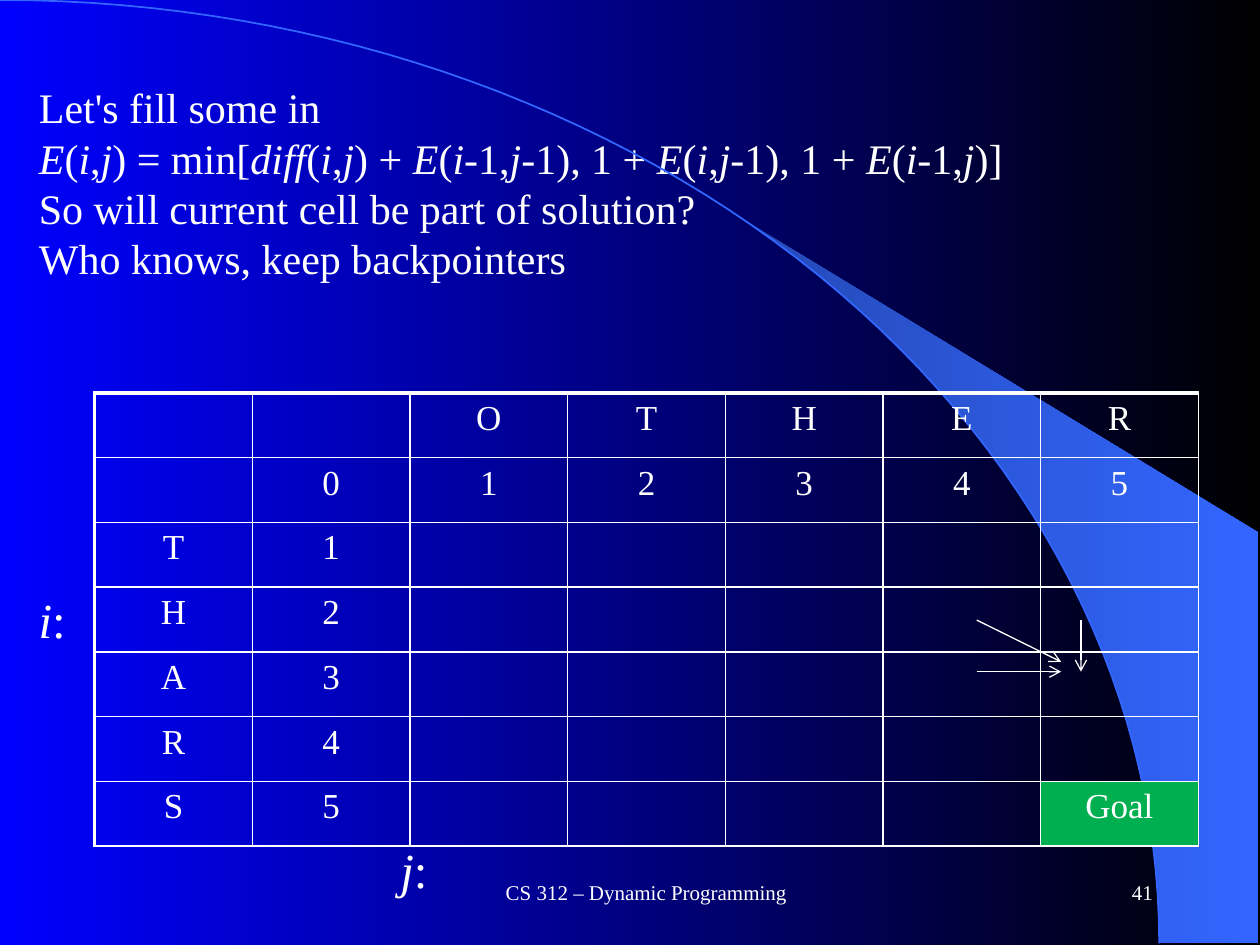
from math import asin, cos, pi, sin

from lxml.etree import SubElement
from pptx import Presentation
from pptx.dml.color import RGBColor
from pptx.enum.shapes import MSO_CONNECTOR as Link
from pptx.enum.text import MSO_ANCHOR as Anchor, MSO_AUTO_SIZE as Fit, PP_ALIGN as Align
from pptx.oxml.ns import qn
from pptx.util import Cm, Pt

WHITE = RGBColor(0xFF, 0xFF, 0xFF)
BLACK = RGBColor(0x00, 0x00, 0x00)
BLUE = RGBColor(0x00, 0x00, 0xFF)
BEAM_DARK = RGBColor(0x24, 0x49, 0xB6)
BEAM_LIGHT = RGBColor(0x33, 0x66, 0xFF)
GREEN = RGBColor(0x00, 0xB0, 0x50)

WIDTH, HEIGHT = 25.4, 19.05
ARC_WIDTH, ARC_HEIGHT = 23.37, 19.02
BEAM_START = 14.96

HEADING = [
    "Let's fill some in",
    "*E*(*i*,*j*) = min[*diff*(*i*,*j*) + *E*(*i*-1,*j*-1), "
    "1 + *E*(*i*,*j*-1), 1 + *E*(*i*-1,*j*)]",
    "So will current cell be part of solution?",
    "Who knows, keep backpointers",
]
ACROSS, DOWN = "OTHER", "THARS"


def arc_points(start, steps=60):
    """Points on the quarter ellipse from angle start to its lower end."""
    angles = [start + (pi / 2 - start) * n / steps for n in range(steps + 1)]
    return [(ARC_WIDTH * sin(a), ARC_HEIGHT * (1 - cos(a))) for a in angles]


class SlideMaker:
    font = "Times New Roman"

    def __init__(self, page):
        self.page = page

    def gradient(self, fill, *colors):
        fill.gradient()
        fill.gradient_angle = 0
        for stop, color in zip(fill.gradient_stops, colors):
            stop.color.rgb = color

    def outline(self, points, close):
        points = [(Cm(x), Cm(y)) for x, y in points]
        builder = self.page.shapes.build_freeform(*points[0])
        builder.add_line_segments(points[1:], close=close)
        shape = builder.convert_to_shape()
        shape.shadow.inherit = False
        return shape

    def fill_text(self, frame, lines, size, align=Align.LEFT):
        """Fill a text frame; words between asterisks are italic."""
        for n, line in enumerate(lines):
            para = frame.add_paragraph() if n else frame.paragraphs[0]
            para.alignment = align
            for k, words in enumerate(line.split("*")):
                if words:
                    span = para.add_run()
                    span.text = words
                    style = {"name": self.font, "size": Pt(size), "italic": k % 2 == 1}
                    for name, value in style.items():
                        setattr(span.font, name, value)
                    span.font.color.rgb = WHITE

    def title(self, area, lines, size):
        box = self.page.shapes.title
        for name, value in zip(("left", "top", "width", "height"), area):
            setattr(box, name, Cm(value))
        settings = {"vertical_anchor": Anchor.TOP, "word_wrap": True, "auto_size": Fit.NONE}
        for name, value in settings.items():
            setattr(box.text_frame, name, value)
        self.fill_text(box.text_frame, lines, size)

    def text(self, area, words, size, align=Align.LEFT, anchor=Anchor.TOP, wrap=False):
        frame = self.page.shapes.add_textbox(*map(Cm, area)).text_frame
        frame.word_wrap = wrap
        frame.vertical_anchor = anchor
        self.fill_text(frame, [words], size, align)

    def border(self, cell, side, width):
        line = SubElement(cell._tc.get_or_add_tcPr(), qn(f"a:ln{side}"), w=str(Pt(width)))
        SubElement(SubElement(line, qn("a:solidFill")), qn("a:srgbClr"), val=str(WHITE))

    def table(self, area, rows):
        frame = self.page.shapes.add_table(len(rows), len(rows[0]), *map(Cm, area))
        table = frame.table
        table.first_row = table.horz_banding = False
        for r, row in enumerate(rows):
            for c, words in enumerate(row):
                cell = table.cell(r, c)
                for side in "LRTB":
                    outer = (side == "L" and c == 0) or (side == "T" and r == 0)
                    self.border(cell, side, 2.25 if outer else 1)
                cell.fill.background()
                self.fill_text(cell.text_frame, [words], 20, Align.CENTER)
        return table

    def arrow(self, *ends):
        link = self.page.shapes.add_connector(Link.STRAIGHT, *map(Cm, ends))
        link.line.color.rgb = WHITE
        link.line.width = Pt(0.75)
        SubElement(link.line._get_or_add_ln(), qn("a:tailEnd"), type="arrow")
        SubElement(link._element.spPr, qn("a:effectLst"))


def main():
    deck = Presentation()
    deck.slide_width, deck.slide_height = Cm(WIDTH), Cm(HEIGHT)
    page = deck.slides.add_slide(deck.slide_layouts[5])
    maker = SlideMaker(page)

    # Background, light beam and arc
    maker.gradient(page.background.fill, BLUE, BLACK)
    corners = [(25.37, ARC_HEIGHT), (25.37, 10.74)]
    beam = maker.outline(arc_points(asin(BEAM_START / ARC_WIDTH)) + corners, close=True)
    maker.gradient(beam.fill, BEAM_DARK, BEAM_LIGHT)
    beam.line.fill.background()
    arc = maker.outline(arc_points(0), close=False)
    arc.fill.background()
    arc.line.color.rgb = BEAM_LIGHT
    arc.line.width = Pt(1)

    # Footer and slide number
    maker.text((8.05, 17.35, 9.96, 1.27), "CS 312 – Dynamic Programming", 12,
               Align.CENTER, Anchor.MIDDLE, True)
    maker.text((18.21, 17.35, 5.28, 1.27), "41", 12, Align.RIGHT, Anchor.MIDDLE, True)

    # Edit distance table: first row and column of costs filled in
    rows = [["", "", *ACROSS], ["", *map(str, range(len(ACROSS) + 1))]]
    rows += [[letter, str(n)] + [""] * len(ACROSS) for n, letter in enumerate(DOWN, 1)]
    rows[-1][-1] = "Goal"
    table = maker.table((1.91, 7.92, 22.25, 9.14), rows)
    goal = table.cell(len(rows) - 1, len(rows[0]) - 1)
    goal.fill.solid()
    goal.fill.fore_color.rgb = GREEN

    # Index labels and heading
    maker.text((0.53, 11.76, 1.14, 1.45), "*i*:", 28)
    maker.text((7.82, 16.79, 1.24, 1.45), "*j*:", 28)
    maker.title((0.53, 1.52, 24.43, 4.37), HEADING, 24)

    # Arrows into the current cell
    maker.arrow(19.69, 12.5, 21.39, 13.34)
    maker.arrow(19.69, 13.54, 21.39, 13.54)
    maker.arrow(21.79, 12.5, 21.79, 13.54)

    deck.save("out.pptx")


if __name__ == "__main__":
    main()
